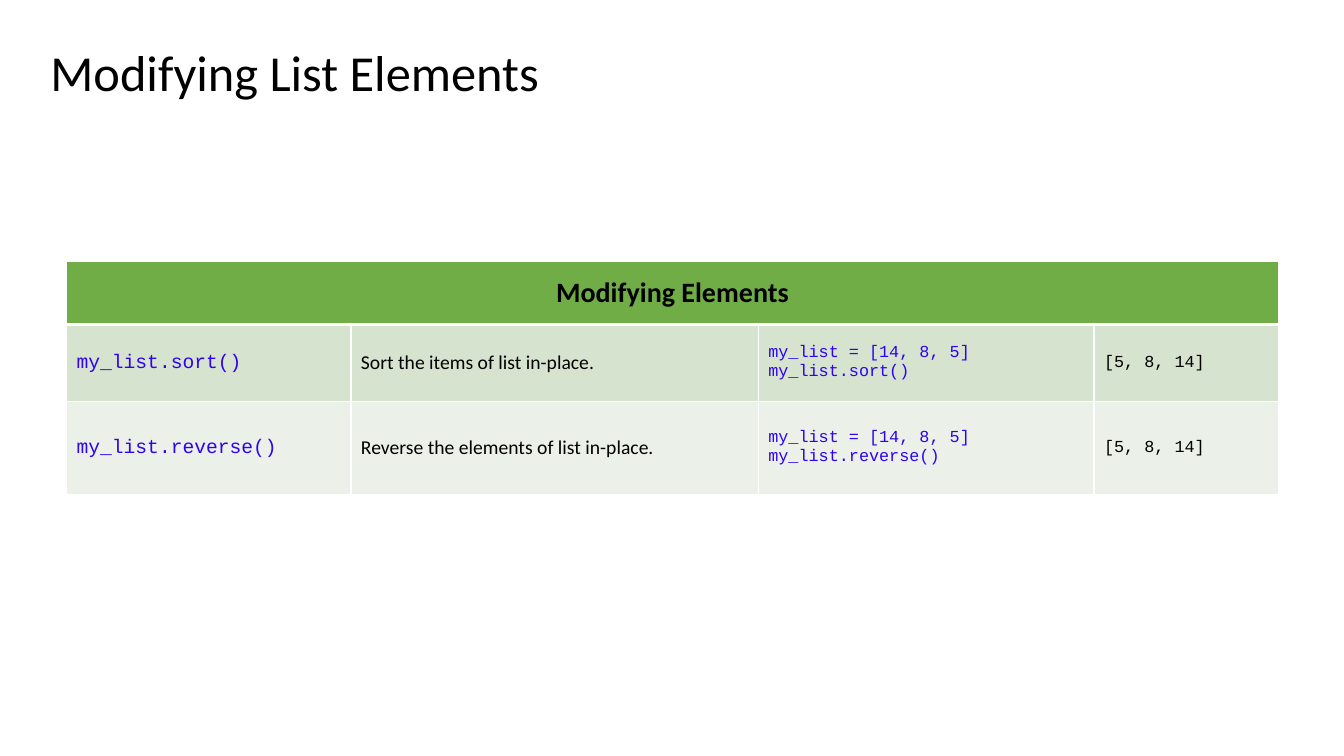
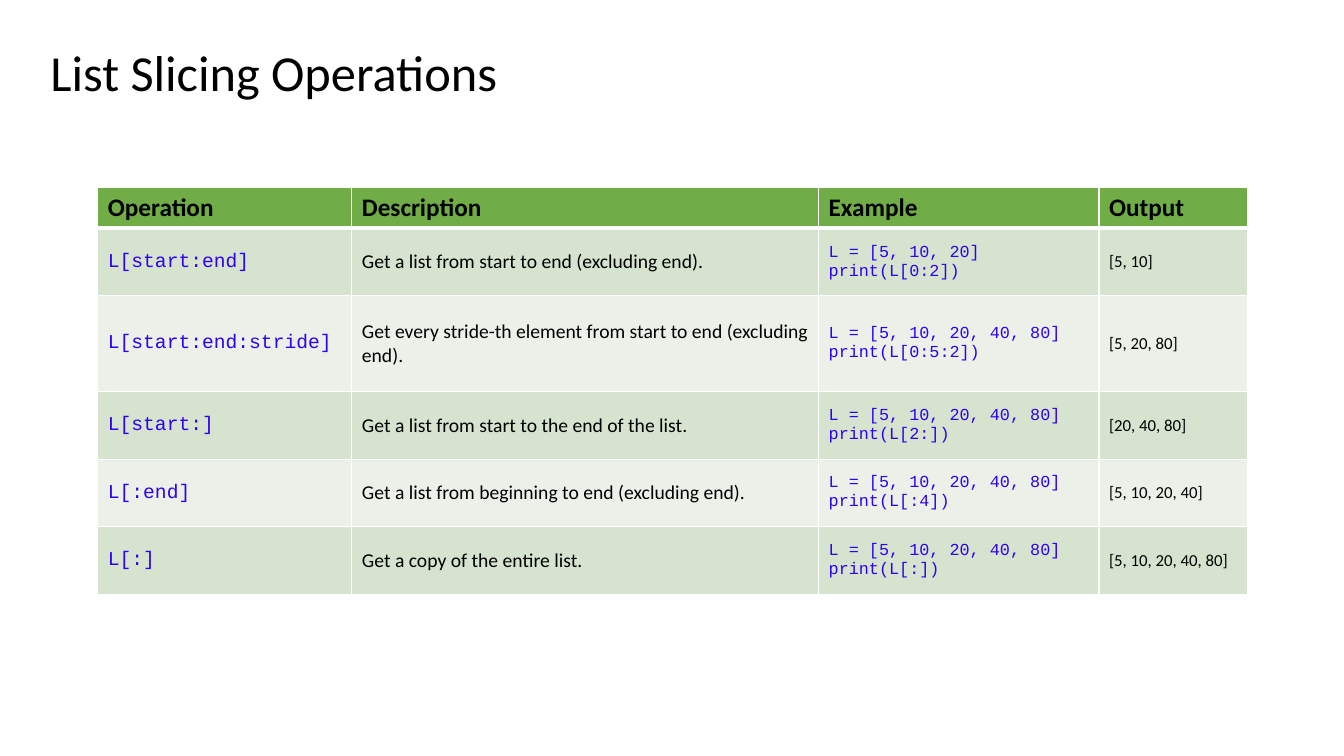
"""Build two slides that tabulate Python list methods and list slicing."""
from dataclasses import dataclass

from lxml import etree
from pptx import Presentation
from pptx.dml.color import RGBColor
from pptx.enum.text import MSO_ANCHOR, PP_ALIGN
from pptx.oxml.ns import qn
from pptx.util import Inches, Pt

MIDDLE = MSO_ANCHOR.MIDDLE
LEFT, CENTER = PP_ALIGN.LEFT, PP_ALIGN.CENTER
TITLE_ONLY = 5


@dataclass(frozen=True)
class TextStyle:
    font: str
    size: int
    color: str
    bold: bool = False


@dataclass(frozen=True)
class Theme:
    sans: str = "Calibri"
    mono: str = "Courier New"
    ink: str = "000000"
    code: str = "2F02F0"
    header: str = "70AD47"
    bands: tuple = ("D5E3CF", "EBF1E9")
    border: str = "FFFFFF"
    thin: int = 1
    thick: int = 3
    title_size: int = 36
    banner_size: int = 20
    heading_size: int = 18
    body_size: int = 14
    small_size: int = 12


THEME = Theme()
TITLE = TextStyle(THEME.sans, THEME.title_size, THEME.ink)
BANNER = TextStyle(THEME.sans, THEME.banner_size, THEME.ink, True)
HEADING = TextStyle(THEME.sans, THEME.heading_size, THEME.ink, True)
OPERATION = TextStyle(THEME.mono, THEME.body_size, THEME.code)
DESCRIPTION = TextStyle(THEME.sans, THEME.body_size, THEME.ink)
EXAMPLE = TextStyle(THEME.mono, THEME.small_size, THEME.code)
MONO_OUTPUT = TextStyle(THEME.mono, THEME.small_size, THEME.ink)
SANS_OUTPUT = TextStyle(THEME.sans, THEME.small_size, THEME.ink)

MODIFYING_ROWS = [
    ("my_list.sort()", "Sort the items of list in-place.",
     "my_list = [14, 8, 5]\nmy_list.sort()", "[5, 8, 14]"),
    ("my_list.reverse()", "Reverse the elements of list in-place.",
     "my_list = [14, 8, 5]\nmy_list.reverse()", "[5, 8, 14]"),
]
SLICING_HEADINGS = ("Operation", "Description", "Example", "Output")
SLICING_ROWS = [
    ("L[start:end]", "Get a list from start to end (excluding end).",
     "L = [5, 10, 20]\nprint(L[0:2])", "[5, 10]"),
    ("L[start:end:stride]",
     "Get every stride-th element from start to end (excluding end).",
     "L = [5, 10, 20, 40, 80]\nprint(L[0:5:2])", "[5, 20, 80]"),
    ("L[start:]", "Get a list from start to the end of the list.",
     "L = [5, 10, 20, 40, 80]\nprint(L[2:])", "[20, 40, 80]"),
    ("L[:end]", "Get a list from beginning to end (excluding end).",
     "L = [5, 10, 20, 40, 80]\nprint(L[:4])", "[5, 10, 20, 40]"),
    ("L[:]", "Get a copy of the entire list.",
     "L = [5, 10, 20, 40, 80]\nprint(L[:])", "[5, 10, 20, 40, 80]"),
]


class Deck:
    def __init__(self):
        self.presentation = Presentation()
        self.presentation.slide_width = Inches(13.33)
        self.presentation.slide_height = Inches(7.5)
        self.slide = None

    def across(self, percent):
        return round(self.presentation.slide_width * percent / 100)

    def down(self, percent):
        return round(self.presentation.slide_height * percent / 100)

    def add_slide(self, heading):
        layout = self.presentation.slide_layouts[TITLE_ONLY]
        self.slide = self.presentation.slides.add_slide(layout)
        title = self.slide.shapes.title
        title.left, title.top = self.across(3), self.down(3.2)
        title.width, title.height = self.across(86.27), self.down(13.6)
        title.text_frame.word_wrap = True
        title.text_frame.vertical_anchor = MIDDLE
        self.set_text(title.text_frame, heading, TITLE)
        title.text_frame.paragraphs[0].line_spacing = 0.9

    def set_text(self, frame, text, style, align=LEFT):
        frame.text = text
        for paragraph in frame.paragraphs:
            paragraph.alignment = align
            for run in paragraph.runs:
                run.font.name = style.font
                run.font.size = Pt(style.size)
                run.font.bold = style.bold
                run.font.color.rgb = RGBColor.from_string(style.color)

    def paint_cell(self, cell, color, top, bottom):
        properties = cell._tc.get_or_add_tcPr()
        widths = {"L": THEME.thin, "R": THEME.thin, "T": top, "B": bottom}
        for side, width in widths.items():
            line = etree.SubElement(properties, qn(f"a:ln{side}"), w=str(Pt(width)))
            fill = etree.SubElement(line, qn("a:solidFill"))
            etree.SubElement(fill, qn("a:srgbClr"), val=THEME.border)
        cell.fill.solid()
        cell.fill.fore_color.rgb = RGBColor.from_string(color)
        cell.vertical_anchor = MIDDLE

    def add_table(self, left, top, widths, heights, headings, rows, output_style):
        table = self.slide.shapes.add_table(
            len(heights), len(widths), self.across(left), self.down(top),
            self.across(sum(widths)), self.down(sum(heights))).table
        for column, width in zip(table.columns, widths):
            column.width = self.across(width)
        for row, height in zip(table.rows, heights):
            row.height = self.down(height)
        for cell in table.rows[0].cells:
            self.paint_cell(cell, THEME.header, THEME.thin, THEME.thick)
        if len(headings) == 1:
            table.cell(0, 0).merge(table.cell(0, len(widths) - 1))
            self.set_text(table.cell(0, 0).text_frame, headings[0], BANNER, CENTER)
        else:
            for cell, heading in zip(table.rows[0].cells, headings):
                self.set_text(cell.text_frame, heading, HEADING)
        styles = (OPERATION, DESCRIPTION, EXAMPLE, output_style)
        for index, entries in enumerate(rows):
            band = THEME.bands[index % len(THEME.bands)]
            upper = THEME.thin if index else THEME.thick
            for cell, entry, style in zip(table.rows[index + 1].cells, entries, styles):
                self.paint_cell(cell, band, upper, THEME.thin)
                self.set_text(cell.text_frame, entry, style)


def main():
    deck = Deck()
    deck.add_slide("Modifying List Elements")
    deck.add_table(4.95, 34.53, (21.16, 30.31, 24.98, 13.73), (8.4, 10.13, 12.4),
                   ("Modifying Elements",), MODIFYING_ROWS, MONO_OUTPUT)
    deck.add_slide("List Slicing Operations")
    deck.add_table(7.28, 24.8, (18.9, 34.73, 20.86, 11.03),
                   (5.2, 8.93, 12.67, 8.93, 8.93, 8.93),
                   SLICING_HEADINGS, SLICING_ROWS, SANS_OUTPUT)
    deck.presentation.save("out.pptx")


if __name__ == "__main__":
    main()
